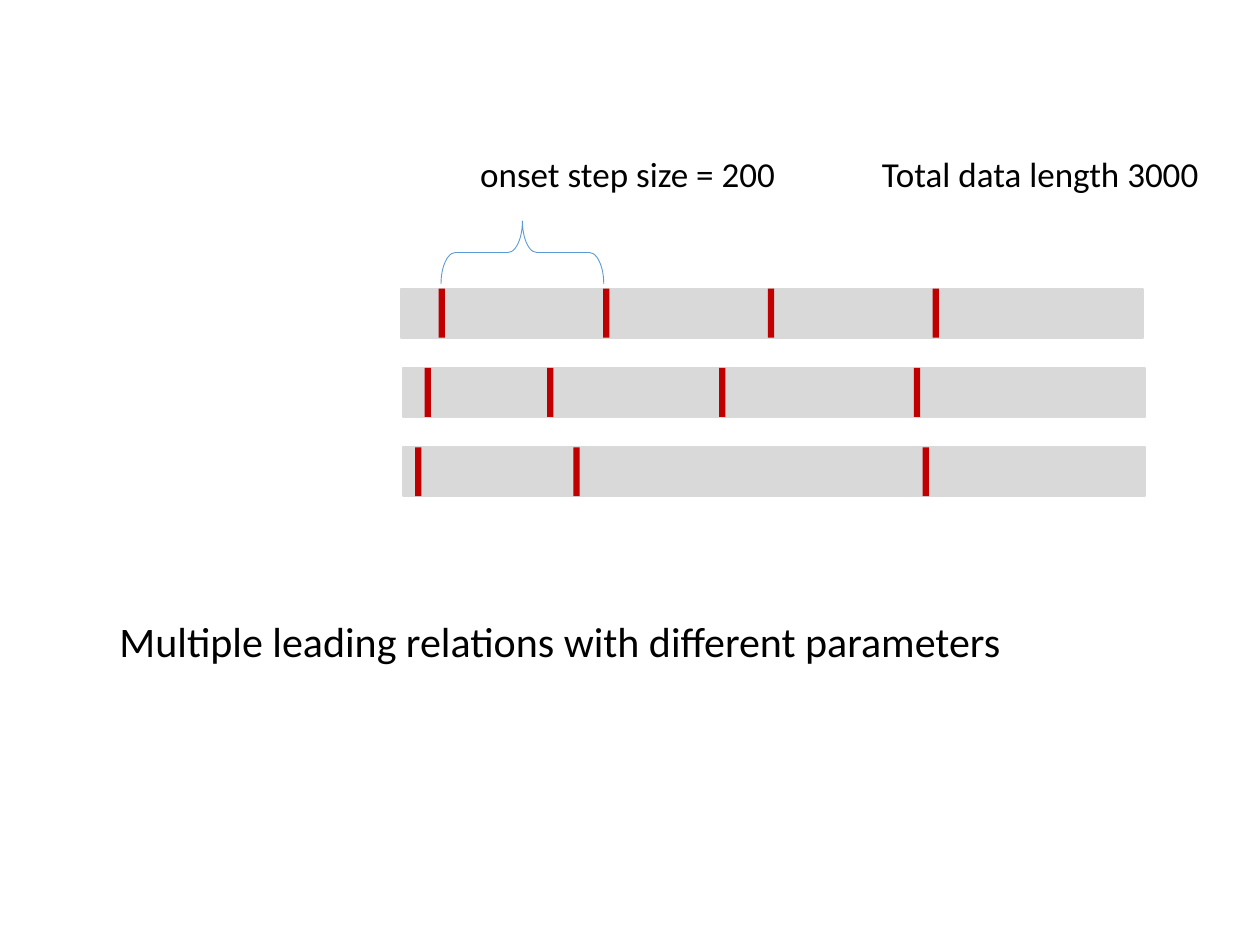
from pptx import Presentation
from pptx.dml.color import RGBColor
from pptx.enum.shapes import MSO_SHAPE
from pptx.enum.text import MSO_AUTO_SIZE
from pptx.util import Pt

COLORS = {"bar": "D9D9D9", "onset": "C00000", "brace": "5B9BD5", "text": "000000"}
FONT = "Calibri"
BAR_WIDTH, BAR_HEIGHT = 424, 28
ONSET_WIDTH = 3.6
FIRST_ONSET, ONSET_STEP = 21.6, 94.1
ROW_TOP, ROW_PITCH = 165, 45.3


def color(name):
    return RGBColor.from_string(COLORS[name])


def add_text(page, text, box, size=20, name="text"):
    left, top, width, height = map(Pt, box)
    label = page.shapes.add_textbox(left, top, width, height)
    frame = label.text_frame
    frame.word_wrap = False
    frame.auto_size = MSO_AUTO_SIZE.SHAPE_TO_FIT_TEXT
    span = frame.paragraphs[0].add_run()
    span.text = text
    span.font.name = FONT
    span.font.size = Pt(size)
    span.font.color.rgb = color(name)


def add_block(page, box, fill, outlined=False):
    block = page.shapes.add_shape(MSO_SHAPE.RECTANGLE, *map(Pt, box))
    block.shadow.inherit = False
    block.fill.solid()
    block.fill.fore_color.rgb = color(fill)
    if outlined:
        block.line.color.rgb = color(fill)
        block.line.width = Pt(1)
    else:
        block.line.fill.background()


def add_series(page, box, onsets):
    """Draw a data bar with an onset mark at each offset from its left edge."""
    left, top, width, height = box
    add_block(page, box, "bar", outlined=True)
    for onset in onsets:
        add_block(page, (left + onset, top, ONSET_WIDTH, height), "onset")


def add_step_brace(page, box):
    """Draw a left brace turned to open downwards, filling the given box."""
    left, top, width, height = box
    middle_x, middle_y = left + width / 2, top + height / 2
    brace = page.shapes.add_shape(
        MSO_SHAPE.LEFT_BRACE, Pt(middle_x - height / 2), Pt(middle_y - width / 2),
        Pt(height), Pt(width))
    brace.rotation = 90
    brace.adjustments[0] = 0.23
    brace.adjustments[1] = 0.5
    brace.shadow.inherit = False
    brace.fill.background()
    brace.line.color.rgb = color("brace")
    brace.line.width = Pt(0.5)


def main():
    deck = Presentation()
    deck.slide_width, deck.slide_height = Pt(720), Pt(540)
    page = deck.slides.add_slide(deck.slide_layouts[6])

    # Data bars with onset marks
    even_onsets = [FIRST_ONSET + ONSET_STEP * index for index in range(4)]
    series = [
        (229, even_onsets),
        (230.2, [12.4, 82.5, 180.8, 292]),
        (230.2, [7, 97.4, 297]),
    ]
    for row, (left, onsets) in enumerate(series):
        top = ROW_TOP + row * ROW_PITCH
        add_series(page, (left, top, BAR_WIDTH, BAR_HEIGHT), onsets)

    # Brace over one onset step
    add_step_brace(page, (252, 126.3, 93, 36))

    # Labels and caption
    add_text(page, "onset step size = 200", (267.3, 83.7, 185, 31.5))
    add_text(page, "Total data length 3000", (496.9, 83.7, 201.6, 31.5))
    add_text(page, "Multiple leading relations with different parameters",
             (61.2, 348, 524, 36), size=24)

    deck.save("out.pptx")


if __name__ == "__main__":
    main()
